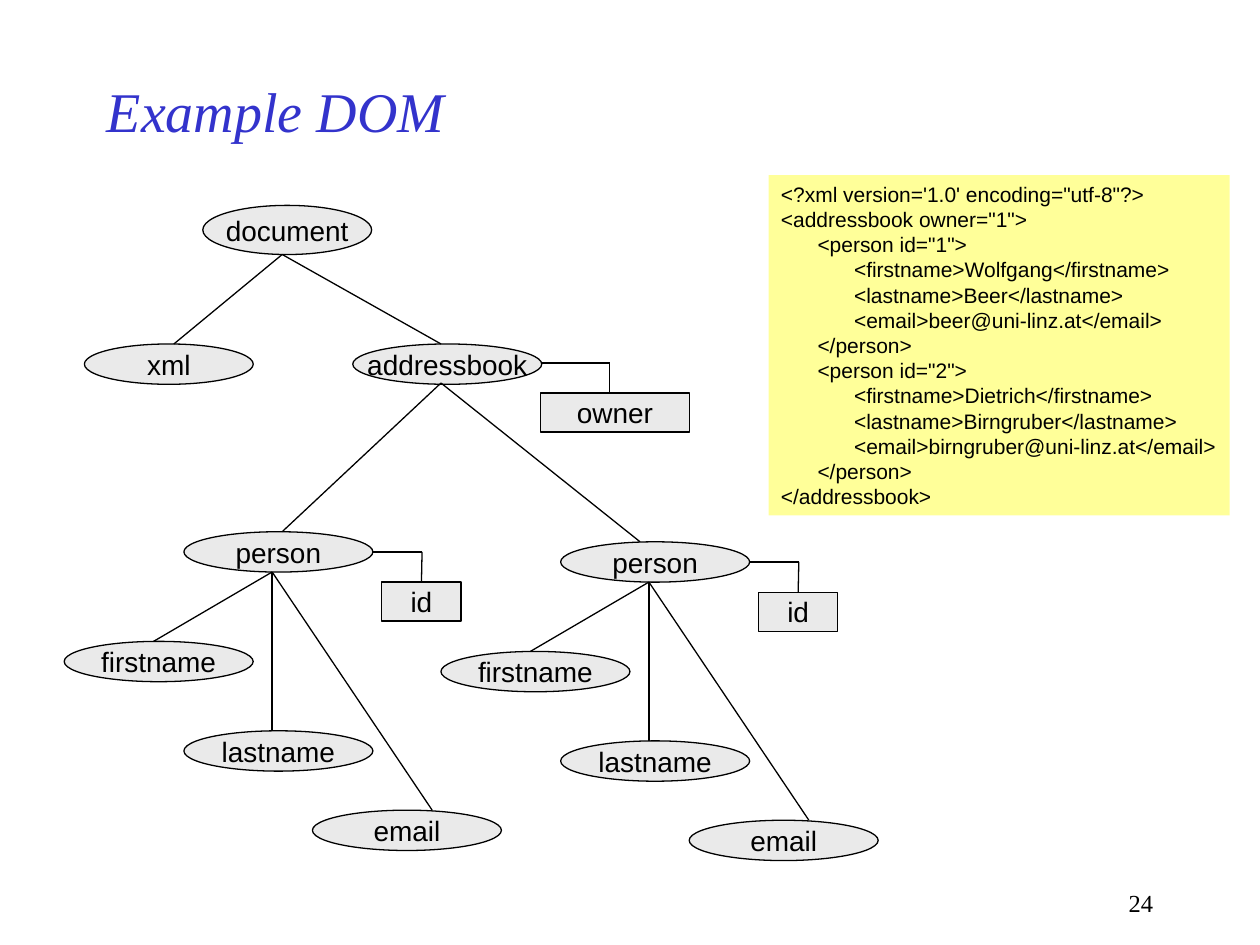
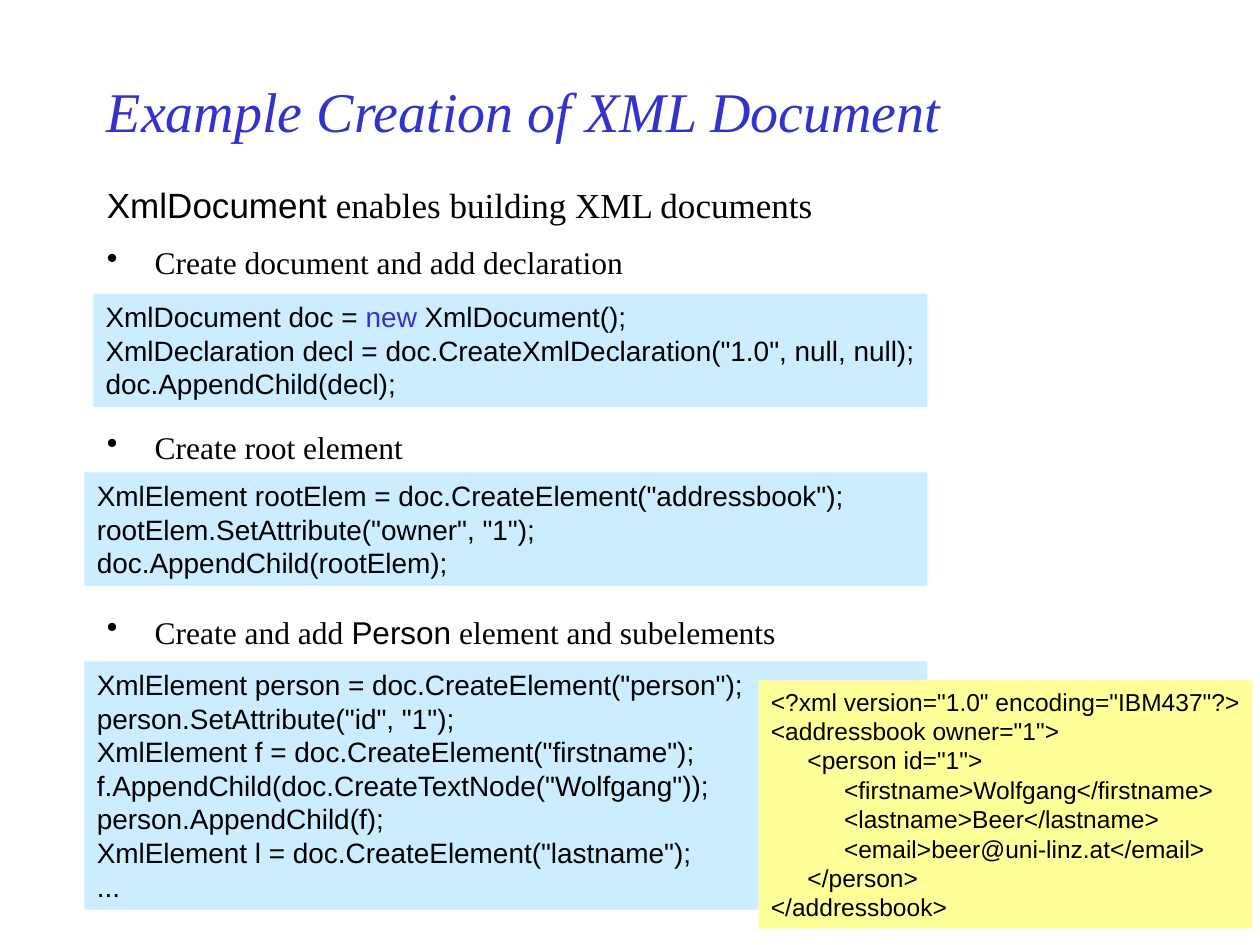
import pptx
import pptx.dml.color
import pptx.enum.shapes
import pptx.enum.text
import pptx.oxml
import pptx.oxml.ns
import pptx.util

SHAPE = pptx.enum.shapes.MSO_SHAPE
ALIGN = pptx.enum.text.PP_ALIGN
ANCHOR = pptx.enum.text.MSO_ANCHOR
SERIF, SANS = "Times New Roman", "Arial"
BLACK, BLUE, GREY = "000000", "3333CC", "EAEAEA"
YELLOW, PALE_BLUE = "FFFF99", "CCECFF"

# Shared content: XML listings
PERSON_XML = """\t<person id="{}">
\t\t<firstname>{}</firstname>
\t\t<lastname>{}</lastname>
\t\t<email>{}@uni-linz.at</email>
\t</person>"""
WOLFGANG = PERSON_XML.format(1, "Wolfgang", "Beer", "beer")
DIETRICH = PERSON_XML.format(2, "Dietrich", "Birngruber", "birngruber")
OPEN_BOOK, CLOSE_BOOK = '<addressbook owner="1">', "</addressbook>"

# Slide 1 content: DOM tree in inches
TOP_NODES = [  # name, left, top, width, height
    ("document", 1.61, 1.63, 1.34, 0.39),
    ("xml", 0.67, 2.73, 1.34, 0.32),
    ("addressbook", 2.8, 2.73, 1.5, 0.32),
]
TOP_BRANCHES = [  # parent point, child points
    ((2.24, 2.02), [(1.38, 2.73), (3.5, 2.73)]),
    ((3.5, 3.04), [(2.24, 4.22), (5.08, 4.3)]),
]
PERSONS = [(1.46, 4.22), (4.45, 4.3)]
NODE_W, NODE_H = 1.5, 0.32
PERSON_NODES = [  # name, offset from the person node
    ("person", 0, 0),
    ("firstname", -0.95, 0.87),
    ("lastname", 0, 1.58),
    ("email", 1.02, 2.21),
]
PERSON_FORK = (0.7, 0.32)
PERSON_BRANCHES = [(-0.24, 0.87), (0.7, 1.58), (1.97, 2.21)]
DOM_XML = "\n".join(["<?xml version='1.0' encoding=\"utf-8\"?>", OPEN_BOOK,
                     WOLFGANG, DIETRICH, CLOSE_BOOK])

# Slide 2 content
INTRO = [("XmlDocument", SANS), (" enables building XML documents", SERIF)]
STEPS = [
    [("Create document and add declaration", SERIF)],
    [("Create root element", SERIF)],
    [("Create and add ", SERIF), ("Person", SANS),
     (" element and subelements", SERIF)],
]
STEP_CODE = [  # left, top, width, height, code
    (0.74, 2.33, 6.62, 0.9, """XmlDocument doc = new XmlDocument();
XmlDeclaration decl = doc.CreateXmlDeclaration("1.0", null, null);
doc.AppendChild(decl);"""),
    (0.67, 3.75, 6.69, 0.9, """XmlElement rootElem = doc.CreateElement("addressbook");
rootElem.SetAttribute("owner", "1");
doc.AppendChild(rootElem);"""),
    (0.67, 5.25, 6.69, 1.97, """XmlElement person = doc.CreateElement("person");
person.SetAttribute("id", "1");
XmlElement f = doc.CreateElement("firstname");
f.AppendChild(doc.CreateTextNode("Wolfgang"));
person.AppendChild(f);
XmlElement l = doc.CreateElement("lastname");
..."""),
]
RESULT_XML = "\n".join(['<?xml version="1.0" encoding="IBM437"?>', OPEN_BOOK,
                        WOLFGANG, CLOSE_BOOK])


# Helpers
def inches(*values):
    return [pptx.util.Inches(v) for v in values]


def color(hex_code):
    return pptx.dml.color.RGBColor.from_string(hex_code)


def add_run(p, text, size, font, hex_code=BLACK, italic=False):
    r = p.add_run()
    r.text = text
    r.font.size = pptx.util.Pt(size)
    r.font.name = font
    r.font.italic = italic
    r.font.color.rgb = color(hex_code)


def add_text(s, box):
    tf = s.shapes.add_textbox(*inches(*box)).text_frame
    tf.word_wrap = True
    return tf


def add_title(s, text):
    tf = add_text(s, (0.75, 0.5, 7.5, 0.75))
    tf.vertical_anchor = ANCHOR.MIDDLE
    add_run(tf.paragraphs[0], text, 32, SERIF, BLUE, italic=True)


def add_panel(s, kind, box, fill):
    sp = s.shapes.add_shape(kind, *inches(*box))
    sp.shadow.inherit = False
    sp.fill.solid()
    sp.fill.fore_color.rgb = color(fill)
    sp.line.fill.background()
    sp.text_frame.word_wrap = False
    return sp


def add_node(s, name, box, kind=SHAPE.OVAL):
    sp = add_panel(s, kind, box, GREY)
    sp.line.color.rgb = color(BLACK)
    sp.line.width = pptx.util.Pt(0.75)
    tf = sp.text_frame
    tf.vertical_anchor = ANCHOR.MIDDLE
    tf.paragraphs[0].alignment = ALIGN.CENTER
    add_run(tf.paragraphs[0], name, 16, SANS)
    return sp


def add_line(s, start, end):
    cn = s.shapes.add_connector(pptx.enum.shapes.MSO_CONNECTOR.STRAIGHT,
                                *inches(*start, *end))
    cn.line.color.rgb = color(BLACK)
    cn.line.width = pptx.util.Pt(0.75)
    pptx.oxml.ns.qn("a:effectLst")
    cn._element.spPr.append(pptx.oxml.parse_xml(
        "<a:effectLst %s/>" % pptx.oxml.ns.nsdecls("a")))
    return cn


def add_attribute(s, name, box, corner, start_x):
    """Attribute box hanging from a node by a right-angled line."""
    sp = add_node(s, name, box, SHAPE.RECTANGLE)
    add_line(s, (start_x, corner[1]), corner)
    drop = add_line(s, corner, (corner[0], box[1]))
    if abs(box[0] + box[2] / 2 - corner[0]) < 0.01:
        drop.end_connect(sp, 0)


def add_bullet(p):
    pPr = p._p.get_or_add_pPr()
    indent = pptx.util.Inches(0.38)
    pPr.set("marL", str(indent))
    pPr.set("indent", str(-indent))
    pPr.append(pptx.oxml.parse_xml(
        '<a:buChar %s char="•"/>' % pptx.oxml.ns.nsdecls("a")))


def add_code(s, box, fill, code, size, keyword=None):
    tf = add_panel(s, SHAPE.RECTANGLE, box, fill).text_frame
    tf.vertical_anchor = ANCHOR.TOP
    for i, line in enumerate(code.split("\n")):
        p = tf.add_paragraph() if i else tf.paragraphs[0]
        p.alignment = ALIGN.LEFT
        if line.startswith("\t"):
            stops = "".join('<a:tab pos="%d" algn="l"/>' % x
                            for x in inches(0.29, 0.58))
            p._p.get_or_add_pPr().append(pptx.oxml.parse_xml(
                "<a:tabLst %s>%s</a:tabLst>"
                % (pptx.oxml.ns.nsdecls("a"), stops)))
        before, found, after = line.partition(keyword or "\n")
        for text, hex_code in ((before, BLACK), (found, BLUE), (after, BLACK)):
            if text:
                add_run(p, text, size, SANS, hex_code)


# Slide 1: DOM tree beside its XML
def build_dom(s):
    add_title(s, "Example DOM")
    p = add_text(s, (7.17, 7, 2.08, 0.33)).paragraphs[0]
    p.alignment = ALIGN.RIGHT
    add_run(p, "24", 14, SERIF)

    for name, *box in TOP_NODES:
        add_node(s, name, box)
    add_attribute(s, "owner", (4.29, 3.12, 1.18, 0.31), (4.84, 2.88), 4.29)
    for x, y in PERSONS:
        for name, dx, dy in PERSON_NODES:
            add_node(s, name, (x + dx, y + dy, NODE_W, NODE_H))
        add_attribute(s, "id", (x + 1.57, y + 0.4, 0.63, 0.31),
                      (x + 1.89, y + NODE_H / 2), x + NODE_W)
        fork = (x + PERSON_FORK[0], y + PERSON_FORK[1])
        for dx, dy in PERSON_BRANCHES:
            add_line(s, fork, (x + dx, y + dy))
    for parent, children in TOP_BRANCHES:
        for child in children:
            add_line(s, parent, child)
    add_code(s, (6.1, 1.39, 3.66, 2.7), YELLOW, DOM_XML, 12)


# Slide 2: steps with code
def build_creation(s):
    add_title(s, "Example Creation of XML Document")
    p = add_text(s, (0.75, 1.41, 8.5, 0.45)).paragraphs[0]
    for text, font in INTRO:
        add_run(p, text, 20, font)

    tf = add_text(s, (0.75, 1.88, 6.54, 5.45))
    for i, step in enumerate(STEPS):
        p = tf.add_paragraph() if i else tf.paragraphs[0]
        if i:
            p.space_before = pptx.util.Pt(84)
        add_bullet(p)
        for text, font in step:
            add_run(p, text, 18, font)

    for *box, code in STEP_CODE:
        add_code(s, box, PALE_BLUE, code, 16, keyword="new")
    add_code(s, (6.02, 5.4, 3.92, 1.97), YELLOW, RESULT_XML, 14)


def main():
    prs = pptx.Presentation()
    prs.slide_width, prs.slide_height = inches(10, 7.5)
    for build in (build_dom, build_creation):
        build(prs.slides.add_slide(prs.slide_layouts[6]))
    prs.save("out.pptx")


if __name__ == "__main__":
    main()
